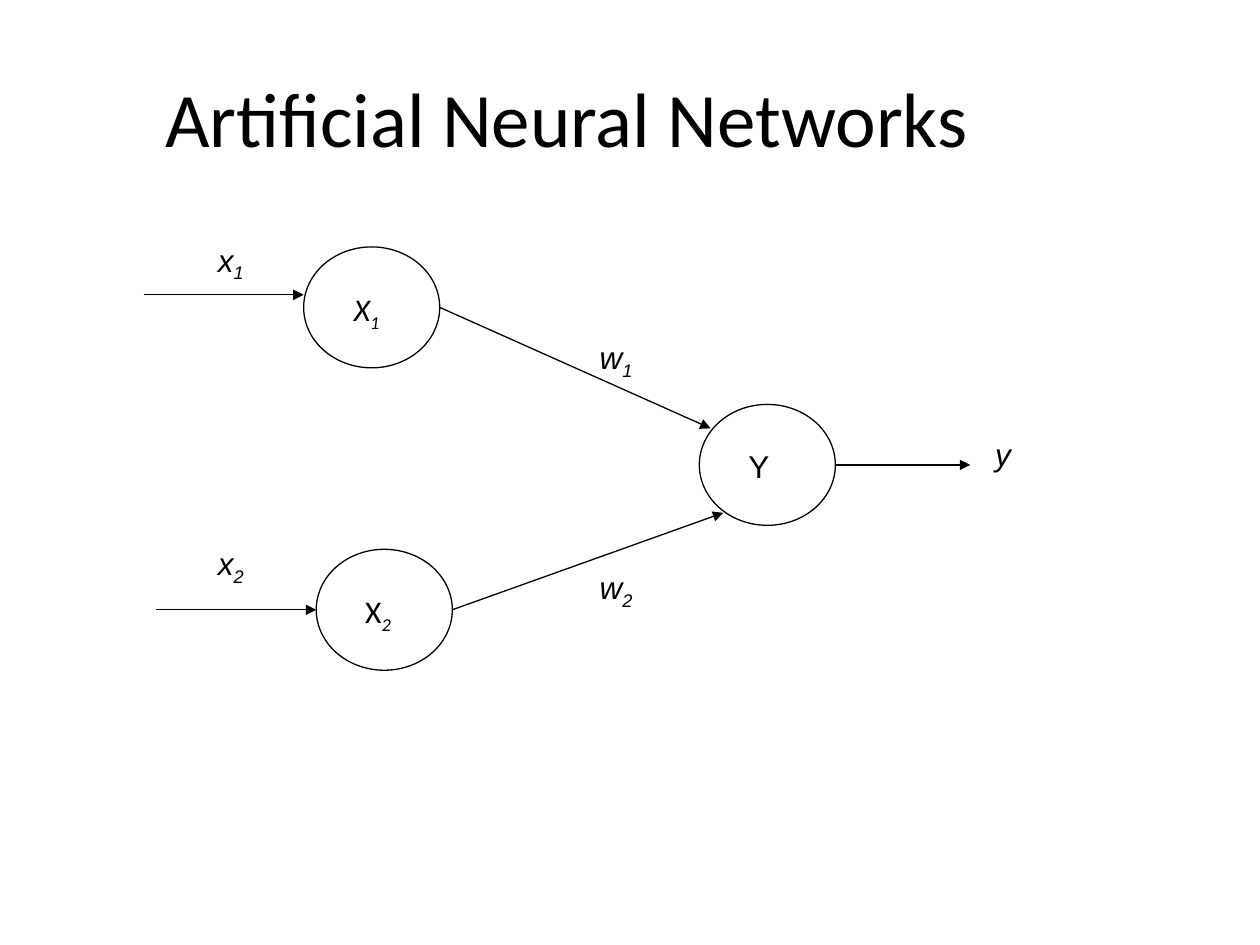
from lxml import etree
from pptx import Presentation
from pptx.dml.color import RGBColor
from pptx.enum.shapes import MSO_CONNECTOR, MSO_SHAPE
from pptx.enum.text import MSO_ANCHOR, MSO_AUTO_SIZE, PP_ALIGN
from pptx.oxml.ns import qn
from pptx.util import Inches, Pt

OVAL = MSO_SHAPE.OVAL
LINE = MSO_CONNECTOR.STRAIGHT
MIDDLE = MSO_ANCHOR.MIDDLE
CENTER = PP_ALIGN.CENTER
GROW = MSO_AUTO_SIZE.SHAPE_TO_FIT_TEXT
BLACK = RGBColor(0, 0, 0)
WIDE, HIGH = Inches(10), Inches(7.5)
NODE_W, NODE_H = 10.8, 12.8
LABEL_H = 5.33


def across(share):
    return round(WIDE * share / 100)


def down(share):
    return round(HIGH * share / 100)


def box(x, y, w, h):
    return across(x), down(y), across(w), down(h)


def style(font, **values):
    font.color.rgb = BLACK
    for name, value in values.items():
        setattr(font, name, value)


def ink(line):
    line.color.rgb = BLACK
    line.width = Pt(0.75)


def add_title(slide, text):
    title = slide.shapes.title
    title.left, title.top, title.width, title.height = box(0, 4, 90, 16.67)
    frame = title.text_frame
    frame.text = text
    frame.vertical_anchor = MIDDLE
    line = frame.paragraphs[0]
    line.alignment = CENTER
    style(line.font, name="Calibri", size=Pt(44))


def add_node(shapes, x, y):
    node = shapes.add_shape(OVAL, *box(x, y, NODE_W, NODE_H))
    node.shadow.inherit = False
    node.fill.background()
    ink(node.line)


def add_arrow(shapes, x1, y1, x2, y2):
    arrow = shapes.add_connector(LINE, across(x1), down(y1), across(x2), down(y2))
    ink(arrow.line)
    tail = etree.SubElement(arrow.line._get_or_add_ln(), qn("a:tailEnd"))
    tail.set("type", "triangle")
    etree.SubElement(arrow._element.spPr, qn("a:effectLst"))


def add_label(shapes, text, sub, x, y, w, face="Arial", slant=True, wrap=True):
    frame = shapes.add_textbox(*box(x, y, w, LABEL_H)).text_frame
    frame.word_wrap = wrap
    frame.auto_size = GROW
    line = frame.paragraphs[0]
    run = line.add_run()
    run.text = text
    style(run.font, name=face, size=Pt(18), italic=slant)
    if sub:
        run = line.add_run()
        run.text = sub
        style(run.font, name=face, size=Pt(18), italic=True)
        run._r.get_or_add_rPr().set("baseline", "-25000")


def main():
    deck = Presentation()
    deck.slide_width, deck.slide_height = WIDE, HIGH
    slide = deck.slides.add_slide(deck.slide_layouts[5])
    add_title(slide, "Artificial Neural Networks")
    shapes = slide.shapes.add_group_shape().shapes

    top, low, out = (24.1, 26.13), (25.1, 58.13), (55.5, 42.8)
    for node in (top, low, out):
        add_node(shapes, *node)

    half = NODE_H / 2
    for (x, y), entry, end in (
        (top, 31.2, (56.4, 45.33)),
        (low, low[1] + half, (57.4, 54.27)),
    ):
        add_arrow(shapes, x - 12.7, entry, x, entry)
        add_arrow(shapes, x + NODE_W, y + half, *end)
    add_arrow(shapes, out[0] + NODE_W, out[1] + half, 77, out[1] + half)

    for label in (
        ("x", "1", 16.3, 24.8, 6.8),
        ("x", "2", 16.3, 56.93, 6.8),
        ("X", "1", 27.1, 30, 4.6, "Calibri", True, False),
        ("X", "2", 28, 62, 4.6, "Calibri", False, False),
        ("w", "1", 46.6, 35.07, 6.9),
        ("w", "2", 46.6, 59.47, 6.9),
        ("Y", "", 58.4, 46.67, 4.9, "Arial", False),
        ("y", "", 78, 45.33, 5.9),
    ):
        add_label(shapes, *label)
    deck.save("out.pptx")


if __name__ == "__main__":
    main()
